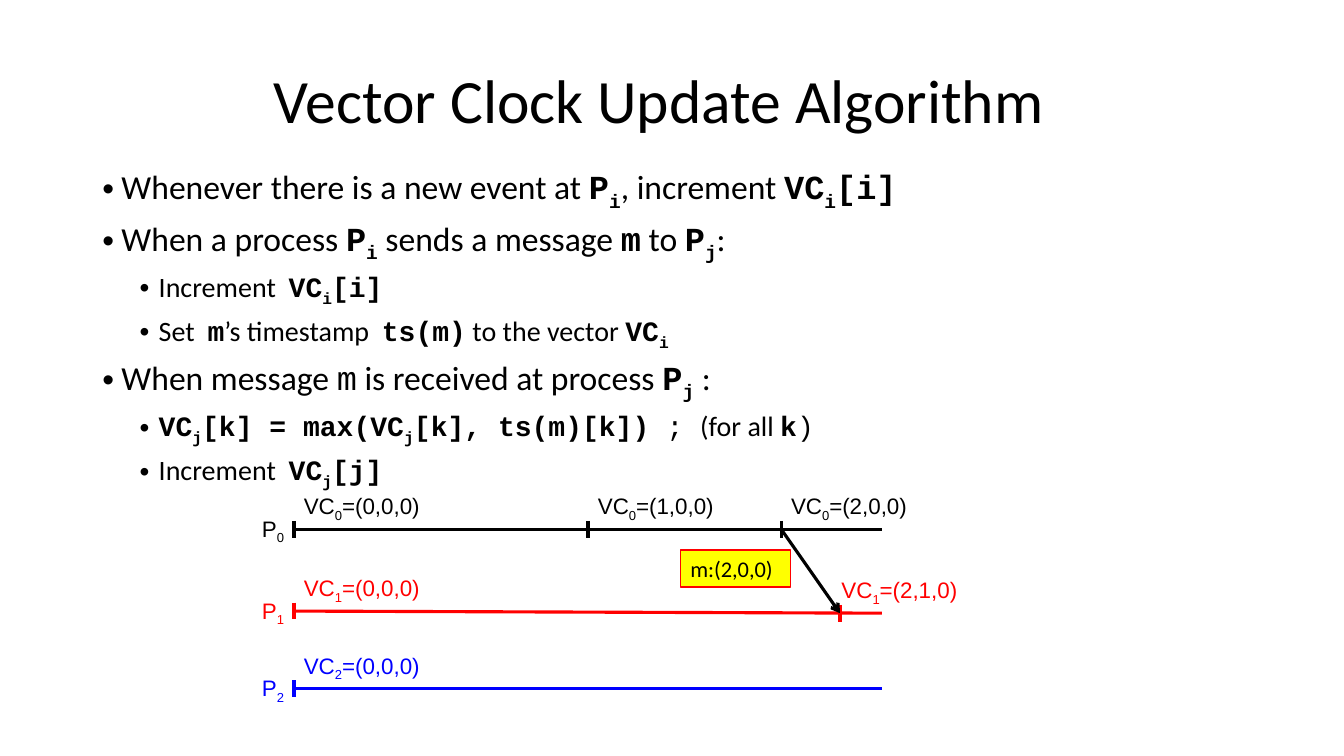
from dataclasses import dataclass
from lxml.etree import SubElement
from pptx import Presentation
from pptx.dml.color import RGBColor
from pptx.enum.shapes import MSO_CONNECTOR as Connector, MSO_SHAPE as Preset
from pptx.enum.text import MSO_ANCHOR as Anchor, PP_ALIGN as Align
from pptx.oxml.ns import qn
from pptx.util import Inches, Pt

TITLE = "Vector Clock Update Algorithm"
# Backticks hold bold code, tildes plain code, and an underscore lowers the next letter.
RULES = [
    (0, "Whenever there is a new event at `P_i`, increment `VC_i[i]`"),
    (0, "When a process `P_i` sends a message `m` to `P_j`:"),
    (1, "Increment  `VC_i[i]`"),
    (1, "Set  `m`’s timestamp  `ts(m)` to the vector `VC_i`"),
    (0, "When message ~m~ is received at process `P_j` :"),
    (1, "`VC_j[k] = max(VC_j[k], ts(m)[k]) `~; ~(for all `k`~)~"),
    (1, "Increment  `VC_j[j]`"),
]
START, END, SEND, RECEIVE = 35, 105, 93, 100
PROCESSES = [
    {"color": "000000", "rows": (63, 63),
     "events": [(START, 0, "(0,0,0)"), (70, 0, "(1,0,0)"), (SEND, 0, "(2,0,0)")]},
    {"color": "FF0000", "rows": (72.75, 73),
     "events": [(START, 0, "(0,0,0)"), (RECEIVE, -1, "(2,1,0)")]},
    {"color": "0000FF", "rows": (82, 82), "events": [(START, 0, "(0,0,0)")]},
]
MESSAGE = "m:(2,0,0)"
CELL = 1 / 12
LABEL_HEIGHT = 4.4


@dataclass(frozen=True)
class Theme:
    body: str = "Calibri"
    code: str = "Courier New"
    label: str = "Arial"
    ink: str = "000000"
    alert: str = "FF0000"
    note: str = "FFFF00"
    title_size: int = 44
    rule_sizes: tuple = (24, 20)
    label_size: int = 16
    stroke: float = 2.25


THEME = Theme()


def grid(*cells):
    return [Inches(cell * CELL) for cell in cells]


def split_markup(text):
    spans, mode, lowered = [], "", False
    for letter in text:
        if letter in "`~":
            mode = "" if mode == letter else letter
        elif letter == "_":
            lowered = True
        else:
            style = (mode, lowered)
            if spans and spans[-1][1] == style:
                spans[-1][0] += letter
            else:
                spans.append([letter, style])
            lowered = False
    return spans


def write(para, text, size, font, color=THEME.ink):
    para.font.size = Pt(size)
    para.font.name = font
    para.font.color.rgb = RGBColor.from_string(color)
    for words, (mode, lowered) in split_markup(text):
        span = para.add_run()
        span.text = words
        if mode:
            span.font.name = THEME.code
            span.font.bold = mode == "`"
        if lowered:
            span._r.get_or_add_rPr().set("baseline", "-25000")


def add_box(page, *cells):
    box = page.shapes.add_textbox(*grid(*cells))
    box.text_frame.word_wrap = True
    return box.text_frame


def add_label(page, column, row, width, text, color):
    frame = add_box(page, column, row, width, LABEL_HEIGHT)
    write(frame.paragraphs[0], text, THEME.label_size, THEME.label, color)


def add_line(page, start, end, color, arrow=False):
    line = page.shapes.add_connector(Connector.STRAIGHT, *grid(*start, *end))
    line.line.color.rgb = RGBColor.from_string(color)
    line.line.width = Pt(THEME.stroke)
    if arrow:
        SubElement(line.line._get_or_add_ln(), qn("a:tailEnd"), type="arrow")
    SubElement(line._element.spPr, qn("a:effectLst"))


def add_title(page):
    frame = add_box(page, 23, 3.6, 111, 17.4)
    frame.vertical_anchor = Anchor.MIDDLE
    para = frame.paragraphs[0]
    para.alignment = Align.CENTER
    para.line_spacing = 0.9
    write(para, TITLE, THEME.title_size, THEME.body)


def add_rules(page):
    frame = add_box(page, 11, 19.2, 136, 59.4)
    for index, (level, text) in enumerate(RULES):
        para = frame.add_paragraph() if index else frame.paragraphs[0]
        para.level = level
        para.space_before = para.space_after = Pt(2)
        props = para._p.get_or_add_pPr()
        props.set("marL", str(Inches(0.19 + 0.37 * level)))
        props.set("indent", str(Inches(-0.19)))
        SubElement(props, qn("a:buFont"), typeface=THEME.label)
        SubElement(props, qn("a:buChar"), char="•")
        write(para, text, THEME.rule_sizes[level], THEME.body)


def add_process(page, number, process):
    color, (first, last) = process["color"], process["rows"]
    add_line(page, (START, first), (END, last), color)
    add_label(page, 30, first - 2.3, 7, f"P_{number}", color)
    for column, shift, clock in process["events"]:
        row = first if column == START else last
        add_line(page, (column, row - 1), (column, row + 1), color)
        add_label(page, column + shift, row - 5, 17, f"VC_{number}={clock}", color)


def add_message(page):
    sent, received = PROCESSES[0]["rows"][1], PROCESSES[1]["rows"][1]
    add_line(page, (SEND, sent), (RECEIVE, received), THEME.ink, arrow=True)
    note = page.shapes.add_shape(Preset.RECTANGLE, *grid(81, 65.5, 13.1, LABEL_HEIGHT))
    note.shadow.inherit = False
    note.fill.solid()
    note.fill.fore_color.rgb = RGBColor.from_string(THEME.note)
    note.line.color.rgb = RGBColor.from_string(THEME.alert)
    note.line.width = Pt(1)
    frame = note.text_frame
    frame.vertical_anchor = Anchor.TOP
    frame.word_wrap = False
    para = frame.paragraphs[0]
    para.alignment = Align.LEFT
    write(para, MESSAGE, THEME.label_size, THEME.body)


def main():
    deck = Presentation()
    deck.slide_width, deck.slide_height = grid(160, 90)
    page = deck.slides.add_slide(deck.slide_layouts[6])
    add_title(page)
    add_rules(page)
    for number, process in enumerate(PROCESSES):
        add_process(page, number, process)
    add_message(page)
    deck.save("out.pptx")


if __name__ == "__main__":
    main()
